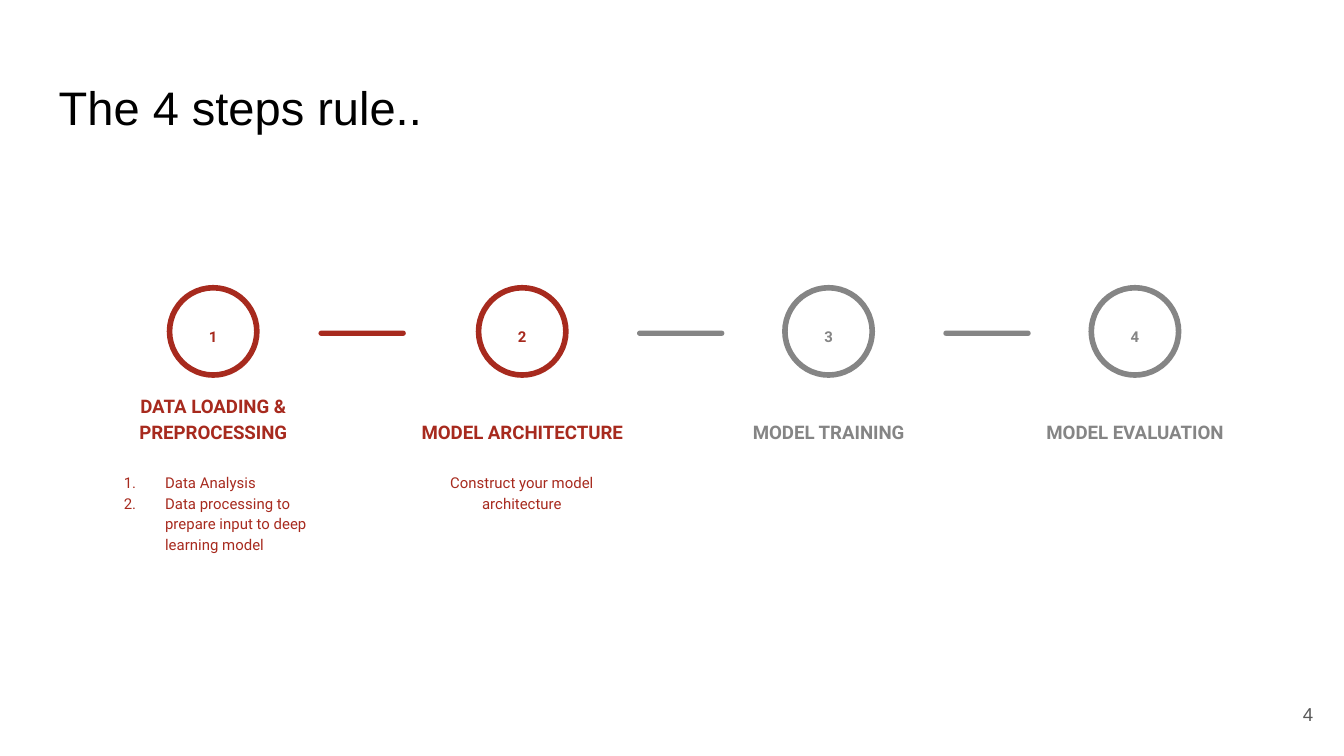
from dataclasses import dataclass

from lxml.etree import SubElement
from pptx import Presentation
from pptx.dml.color import RGBColor
from pptx.enum.shapes import MSO_SHAPE
from pptx.enum.text import MSO_ANCHOR, MSO_AUTO_SIZE, PP_ALIGN
from pptx.oxml.ns import qn
from pptx.util import Cm, Pt


@dataclass(frozen=True)
class Theme:
    """Colours, fonts and type sizes of the slide."""

    active: RGBColor = RGBColor(0xA7, 0x2A, 0x1E)
    pending: RGBColor = RGBColor(0x85, 0x85, 0x85)
    title: RGBColor = RGBColor(0, 0, 0)
    page: RGBColor = RGBColor(0x59, 0x59, 0x59)
    heading_font: str = "Arial"
    step_font: str = "Roboto"
    title_size: float = 25.2
    label_size: float = 10
    detail_size: float = 8


THEME = Theme()
CIRCLE_SIZE = 1.65
LABEL_WIDTH = 4.75
STEPS = [
    (4.03, "DATA LOADING & PREPROCESSING", THEME.active),
    (9.87, "MODEL ARCHITECTURE", THEME.active),
    (15.66, "MODEL TRAINING", THEME.pending),
    (21.45, "MODEL EVALUATION", THEME.pending),
]
BARS = [(6.02, THEME.active), (12.04, THEME.pending), (17.83, THEME.pending)]


def place(shape, left, top, width, height):
    """Move and size a shape, in centimetres."""
    shape.left, shape.top = Cm(left), Cm(top)
    shape.width, shape.height = Cm(width), Cm(height)


def write_text(shape, text, *, size, color, font=THEME.step_font, bold=False,
               align=PP_ALIGN.CENTER, anchor=MSO_ANCHOR.TOP, spacing=1.15, after=0):
    """Fill a shape with text, one paragraph per line, in a single format."""
    frame = shape.text_frame
    frame.text = text
    frame.word_wrap = True
    frame.auto_size = MSO_AUTO_SIZE.NONE
    frame.vertical_anchor = anchor
    frame.margin_left = frame.margin_right = Cm(0.25)
    frame.margin_top = frame.margin_bottom = Cm(0.25)
    for paragraph in frame.paragraphs:
        paragraph.alignment = align
        paragraph.line_spacing = spacing
        paragraph.space_before = Pt(0)
        paragraph.space_after = Pt(after)
        for run in paragraph.runs:
            run.font.name = font
            run.font.size = Pt(size)
            run.font.bold = bold
            run.font.color.rgb = color


def add_text(slide, text, left, top, width, height, **text_format):
    """Add a text box with formatted text."""
    box = slide.shapes.add_textbox(Cm(left), Cm(top), Cm(width), Cm(height))
    write_text(box, text, **text_format)


def number_paragraphs(shape):
    """Turn the paragraphs of a shape into a numbered list."""
    for paragraph in shape.text_frame.paragraphs:
        properties = paragraph._p.get_or_add_pPr()
        properties.set("marL", str(Cm(1.27)))
        properties.set("indent", str(Cm(-0.78)))
        SubElement(properties, qn("a:buFont"), typeface=THEME.step_font)
        SubElement(properties, qn("a:buAutoNum"), type="arabicPeriod")


def add_bar(slide, left, color):
    """Add a rounded bar between two steps."""
    bar = slide.shapes.add_shape(
        MSO_SHAPE.ROUNDED_RECTANGLE, Cm(left), Cm(6.25), Cm(1.65), Cm(0.1))
    bar.adjustments[0] = 0.5
    bar.shadow.inherit = False
    bar.fill.solid()
    bar.fill.fore_color.rgb = color
    bar.line.fill.background()


def add_step(slide, number, center, label, color):
    """Add a numbered circle with its label below."""
    circle = slide.shapes.add_shape(
        MSO_SHAPE.OVAL, Cm(center - CIRCLE_SIZE / 2), Cm(5.44),
        Cm(CIRCLE_SIZE), Cm(CIRCLE_SIZE))
    circle.shadow.inherit = False
    circle.fill.background()
    circle.line.color.rgb = color
    circle.line.width = Pt(3)
    add_text(slide, str(number), center - 0.61, 5.89, 1.22, 0.89,
             size=THEME.detail_size, color=color, bold=True, after=16)
    add_text(slide, label, center - LABEL_WIDTH / 2, 7.39, LABEL_WIDTH, 1.24,
             size=THEME.label_size, color=color, bold=True, anchor=MSO_ANCHOR.BOTTOM)


def main():
    """Build and save the slide."""
    presentation = Presentation()
    presentation.slide_width, presentation.slide_height = Cm(25.4), Cm(14.29)
    slide = presentation.slides.add_slide(presentation.slide_layouts[1])

    title = slide.shapes.title
    place(title, 0.86, 1.24, 23.67, 1.6)
    write_text(title, "The 4 steps rule..", size=THEME.title_size, color=THEME.title,
               font=THEME.heading_font, align=PP_ALIGN.LEFT, spacing=1.0)

    tasks = slide.placeholders[1]
    place(tasks, 1.6, 8.66, 4.88, 2.06)
    write_text(tasks, "Data Analysis\nData processing to prepare input to deep learning model",
               size=THEME.detail_size, color=THEME.active, align=PP_ALIGN.LEFT)
    number_paragraphs(tasks)

    for left, color in BARS:
        add_bar(slide, left, color)
    for number, (center, label, color) in enumerate(STEPS, start=1):
        add_step(slide, number, center, label, color)

    add_text(slide, "Construct your model architecture", 7.49, 8.66, LABEL_WIDTH, 2.06,
             size=THEME.detail_size, color=THEME.active, after=16)
    add_text(slide, "4", 23.55, 12.95, 1.52, 1.09, size=THEME.label_size,
             color=THEME.page, font=THEME.heading_font, align=PP_ALIGN.RIGHT,
             anchor=MSO_ANCHOR.MIDDLE, spacing=1.0)
    presentation.save("out.pptx")


if __name__ == "__main__":
    main()
